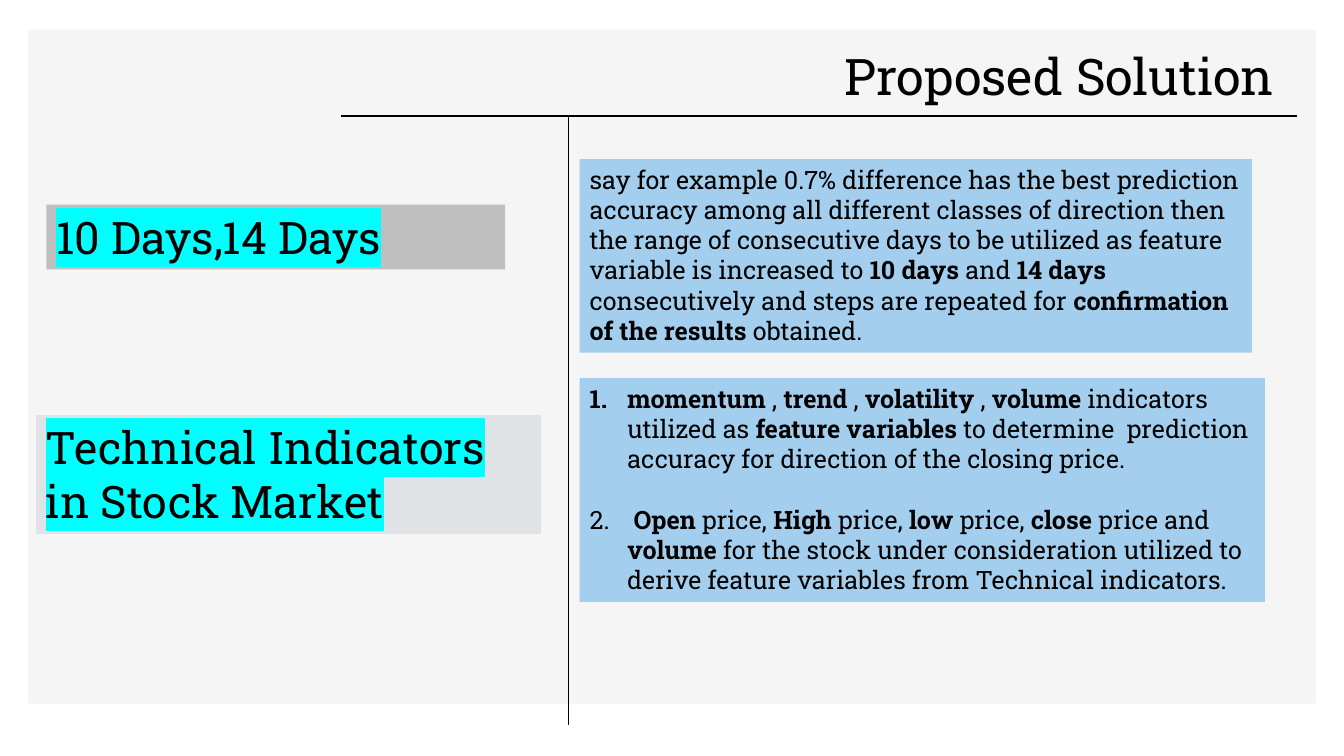
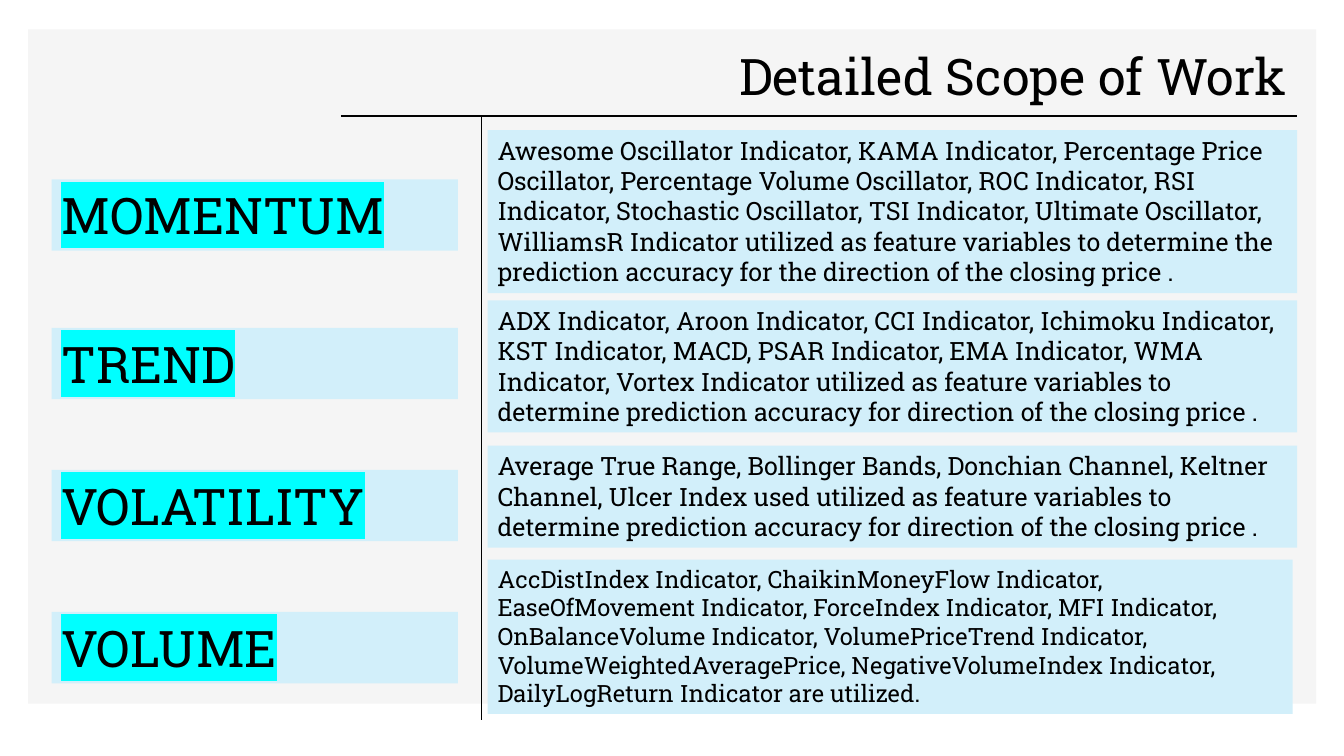
from dataclasses import dataclass

from lxml.etree import SubElement
from pptx import Presentation
from pptx.dml.color import RGBColor
from pptx.enum.shapes import MSO_CONNECTOR, MSO_SHAPE
from pptx.enum.text import MSO_ANCHOR, MSO_AUTO_SIZE, PP_ALIGN
from pptx.oxml.ns import qn
from pptx.presentation import Presentation as Deck
from pptx.slide import Slide
from pptx.text.text import _Paragraph as Paragraph
from pptx.text.text import _Run as Run
from pptx.util import Cm, Pt

FONT = "Roboto Slab"
BLACK = RGBColor(0x00, 0x00, 0x00)
PANEL_GREY = RGBColor(0xF5, 0xF5, 0xF5)
MID_GREY = RGBColor(0xBF, 0xBF, 0xBF)
PALE_GREY = RGBColor(0xDF, 0xE3, 0xE5)
BLUE = RGBColor(0xA3, 0xCE, 0xED)
PALE_BLUE = RGBColor(0xD2, 0xEF, 0xFA)
CYAN = RGBColor(0x00, 0xFF, 0xFF)

RULE_Y = 2.92
LIST_INDENT = Cm(0.95)
LIST_GAP = Pt(21.6)


@dataclass(frozen=True)
class Block:
    """A filled text block, in centimetres; **double stars** mark bold words."""
    left: float
    top: float
    width: float
    height: float
    fill: RGBColor
    paragraphs: tuple[str, ...]
    size: float = 18
    highlighted: bool = False
    numbered: bool = False


@dataclass(frozen=True)
class Topic:
    """One row of the scope slide: a label and its indicators."""
    label: str
    label_top: float
    indicators: str
    top: float
    height: float
    width: float = 20.4
    size: float = 18


def style_run(run: Run, size: float, bold: bool = False) -> None:
    run.font.name = FONT
    run.font.size = Pt(size)
    run.font.bold = bold
    run.font.color.rgb = BLACK


def highlight_run(run: Run) -> None:
    properties = run.font._element
    highlight = SubElement(properties, qn("a:highlight"))
    SubElement(highlight, qn("a:srgbClr"), val=str(CYAN))
    properties.find(qn("a:solidFill")).addnext(highlight)


def number_paragraph(paragraph: Paragraph) -> None:
    properties = paragraph._p.get_or_add_pPr()
    properties.set("marL", str(LIST_INDENT))
    properties.set("indent", str(-LIST_INDENT))
    SubElement(properties, qn("a:buFont"), typeface="+mj-lt")
    SubElement(properties, qn("a:buAutoNum"), type="arabicPeriod")


def add_rule(slide: Slide, x1: float, y1: float, x2: float, y2: float,
             weight: float) -> None:
    rule = slide.shapes.add_connector(
        MSO_CONNECTOR.STRAIGHT, Cm(x1), Cm(y1), Cm(x2), Cm(y2))
    rule.line.color.rgb = BLACK
    rule.line.width = Pt(weight)
    SubElement(rule._element.spPr, qn("a:effectLst"))


def add_block(slide: Slide, block: Block) -> None:
    box = slide.shapes.add_textbox(
        Cm(block.left), Cm(block.top), Cm(block.width), Cm(block.height))
    box.fill.solid()
    box.fill.fore_color.rgb = block.fill
    frame = box.text_frame
    frame.word_wrap = True
    frame.auto_size = MSO_AUTO_SIZE.SHAPE_TO_FIT_TEXT
    for index, text in enumerate(block.paragraphs):
        paragraph = frame.add_paragraph() if index else frame.paragraphs[0]
        if block.numbered:
            number_paragraph(paragraph)
        if index:
            paragraph.space_before = LIST_GAP
        # Every second piece between the markers is bold
        for position, piece in enumerate(text.split("**")):
            if piece:
                run = paragraph.add_run()
                run.text = piece
                style_run(run, block.size, bold=position % 2 == 1)
                if block.highlighted:
                    highlight_run(run)


def add_titled_slide(deck: Deck, heading: str, divider_x: float,
                     divider_end: float) -> Slide:
    """Add a slide with the shared panel, title, title rule and divider."""
    slide = deck.slides.add_slide(deck.slide_layouts.get_by_name("Title Only"))

    # Panel, sent behind the title
    panel = slide.shapes.add_shape(
        MSO_SHAPE.RECTANGLE, Cm(0.71), Cm(0.74), Cm(32.46), Cm(16.99))
    panel.shadow.inherit = False
    panel.fill.solid()
    panel.fill.fore_color.rgb = PANEL_GREY
    panel.line.fill.background()
    slide.shapes.element.insert(2, panel._element)

    # Title
    title = slide.shapes.title
    title.left, title.top = Cm(9.4), Cm(1.07)
    title.width, title.height = Cm(23.29), Cm(1.85)
    frame = title.text_frame
    frame.text = heading
    frame.auto_size = MSO_AUTO_SIZE.NONE
    frame.vertical_anchor = MSO_ANCHOR.MIDDLE
    paragraph = frame.paragraphs[0]
    paragraph.alignment = PP_ALIGN.RIGHT
    paragraph.line_spacing = 0.9
    style_run(paragraph.runs[0], 36)

    # Rules
    add_rule(slide, 8.59, RULE_Y, 32.69, RULE_Y, 1)
    add_rule(slide, divider_x, RULE_Y, divider_x, divider_end, 0.5)
    return slide


SOLUTION_BLOCKS = (
    Block(1.17, 5.16, 11.56, 1.63, MID_GREY, ("10 Days,14 Days",),
          size=32, highlighted=True),
    Block(14.61, 4.01, 16.94, 4.88, BLUE, (
        "say for example 0.7% difference has the best prediction accuracy among "
        "all different classes of direction then the range of consecutive days "
        "to be utilized as feature variable is increased to **10 days **and "
        "**14 days **consecutively and steps are repeated for "
        "**confirmation of the results **obtained.",)),
    Block(14.61, 9.53, 17.27, 5.64, BLUE, (
        "**momentum **, **trend **, **volatility **, **volume** indicators "
        "utilized as **feature variables **to determine  prediction accuracy "
        "for direction of the closing price.",
        " **Open** price, **High** price, **low** price, **close** price and "
        "**volume** for the stock under consideration utilized to derive "
        "feature variables from Technical indicators."), numbered=True),
    Block(0.91, 10.46, 12.73, 3.0, PALE_GREY,
          ("Technical Indicators in Stock Market",), size=32, highlighted=True),
)

TOPICS = (
    Topic("MOMENTUM", 4.52,
          "Awesome Oscillator Indicator, KAMA Indicator, Percentage Price "
          "Oscillator, Percentage Volume Oscillator, ROC Indicator, RSI "
          "Indicator, Stochastic Oscillator, TSI Indicator, Ultimate "
          "Oscillator, WilliamsR Indicator utilized as feature variables to "
          "determine the prediction accuracy for the direction of the closing "
          "price .", 3.28, 4.11),
    Topic("TREND", 8.26,
          "ADX Indicator, Aroon Indicator, CCI Indicator, Ichimoku Indicator, "
          "KST Indicator, MACD, PSAR Indicator, EMA Indicator, WMA Indicator, "
          "Vortex Indicator utilized as feature variables to determine "
          "prediction accuracy for direction of the closing price .",
          7.57, 3.33),
    Topic("VOLATILITY", 11.84,
          "Average True Range, Bollinger Bands, Donchian Channel, Keltner "
          "Channel, Ulcer Index used utilized as feature variables to determine "
          "prediction accuracy for direction of the closing price .",
          11.23, 2.57),
    Topic("VOLUME", 15.42,
          "AccDistIndex Indicator, ChaikinMoneyFlow Indicator, EaseOfMovement "
          "Indicator, ForceIndex Indicator, MFI Indicator, OnBalanceVolume "
          "Indicator, VolumePriceTrend Indicator, VolumeWeightedAveragePrice, "
          "NegativeVolumeIndex Indicator, DailyLogReturn Indicator are "
          "utilized.", 14.1, 3.89, width=20.29, size=17),
)


def add_solution_slide(deck: Deck) -> None:
    slide = add_titled_slide(deck, "Proposed Solution ", 14.33, 18.26)
    for block in SOLUTION_BLOCKS:
        add_block(slide, block)


def add_scope_slide(deck: Deck) -> None:
    slide = add_titled_slide(deck, "Detailed Scope of Work", 12.12, 18.14)
    for topic in TOPICS:
        add_block(slide, Block(1.3, topic.label_top, 10.24, 1.8, PALE_BLUE,
                               (topic.label,), size=36, highlighted=True))
        add_block(slide, Block(12.29, topic.top, topic.width, topic.height,
                               PALE_BLUE, (topic.indicators,), size=topic.size))


def main() -> None:
    deck = Presentation()
    deck.slide_width, deck.slide_height = Cm(33.87), Cm(19.05)
    add_solution_slide(deck)
    add_scope_slide(deck)
    deck.save("out.pptx")


if __name__ == "__main__":
    main()
